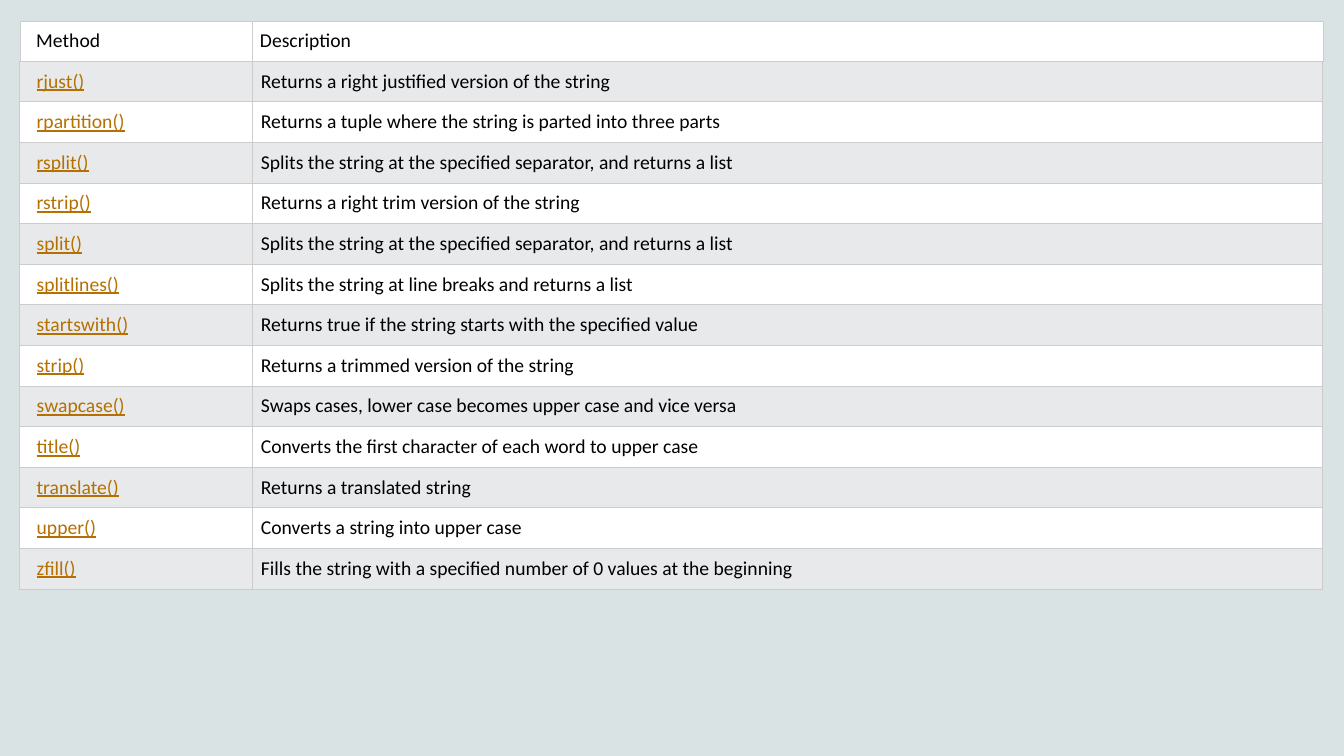
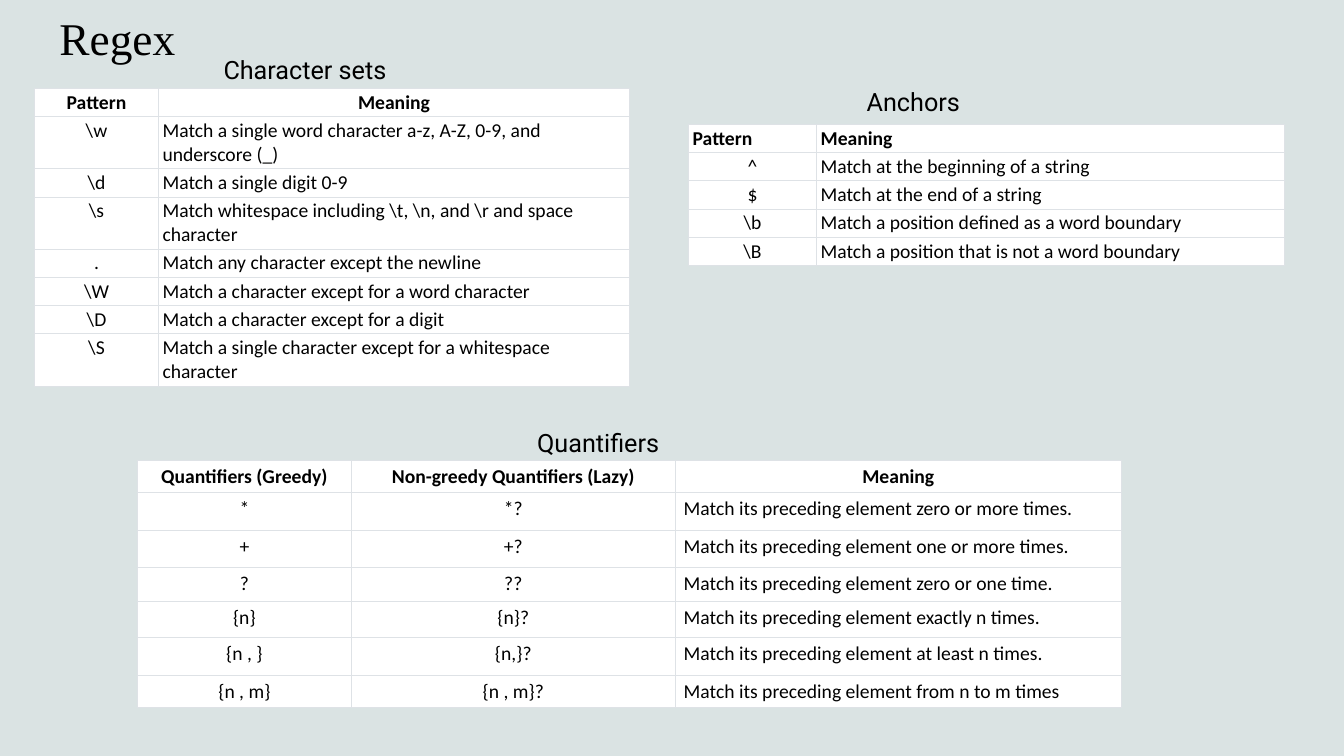
from lxml.etree import SubElement
from pptx import Presentation
from pptx.dml.color import RGBColor
from pptx.enum.text import MSO_ANCHOR, MSO_AUTO_SIZE, PP_ALIGN
from pptx.oxml.ns import qn
from pptx.util import Pt

BACKGROUND = RGBColor(0xDA, 0xE3, 0xE3)
BLACK = RGBColor(0x00, 0x00, 0x00)
WHITE = RGBColor(0xFF, 0xFF, 0xFF)
STRIPE = RGBColor(0xE7, 0xE9, 0xEB)
LINK = RGBColor(0xB5, 0x70, 0x01)
METHOD_BORDER = RGBColor(0xCC, 0xCC, 0xCC)
REGEX_BORDER = RGBColor(0xDE, 0xE2, 0xE6)
LEFT, CENTER = PP_ALIGN.LEFT, PP_ALIGN.CENTER


def set_font(paragraph, name, size, color=BLACK, bold=False):
    font = paragraph.font
    font.name, font.size, font.bold = name, Pt(size), bold
    font.color.rgb = color


def add_grid(page, left, top, widths, heights, rows, margins, border):
    """Add a white, left-aligned table; margins are (side, top and bottom)."""
    frame = page.shapes.add_table(len(rows), len(widths), Pt(left), Pt(top),
                                  Pt(sum(widths)), Pt(sum(heights)))
    table = frame.table
    table.first_row = table.horz_banding = False
    for column, width in zip(table.columns, widths):
        column.width = Pt(width)
    for row, height, texts in zip(table.rows, heights, rows):
        row.height = Pt(height)
        for cell, text in zip(row.cells, texts):
            cell.text = text
            cell.margin_left = cell.margin_right = Pt(margins[0])
            cell.margin_top = cell.margin_bottom = Pt(margins[1])
            set_font(cell.text_frame.paragraphs[0], "Calibri", 14)
            properties = cell._tc.get_or_add_tcPr()
            for side in ("a:lnL", "a:lnR", "a:lnT", "a:lnB"):
                line = SubElement(properties, qn(side), w=str(Pt(0.75)))
                fill = SubElement(line, qn("a:solidFill"))
                SubElement(fill, qn("a:srgbClr"), val=str(border))
            cell.fill.solid()
            cell.fill.fore_color.rgb = WHITE
    return table


deck = Presentation()
deck.slide_width, deck.slide_height = Pt(960), Pt(540)
master_fill = deck.slide_master.background.fill
master_fill.solid()
master_fill.fore_color.rgb = BACKGROUND

# String methods
page = deck.slides.add_slide(deck.slide_layouts[6])
methods = [
    ("rjust()", "Returns a right justified version of the string"),
    ("rpartition()", "Returns a tuple where the string is parted into three parts"),
    ("rsplit()", "Splits the string at the specified separator, and returns a list"),
    ("rstrip()", "Returns a right trim version of the string"),
    ("split()", "Splits the string at the specified separator, and returns a list"),
    ("splitlines()", "Splits the string at line breaks and returns a list"),
    ("startswith()", "Returns true if the string starts with the specified value"),
    ("strip()", "Returns a trimmed version of the string"),
    ("swapcase()", "Swaps cases, lower case becomes upper case and vice versa"),
    ("title()", "Converts the first character of each word to upper case"),
    ("translate()", "Returns a translated string"),
    ("upper()", "Converts a string into upper case"),
    ("zfill()", "Fills the string with a specified number of 0 values at the beginning"),
]
method_table = add_grid(page, 14.2, 43.8, (166.2, 764.1), [29] * len(methods),
                        methods, (6, 5.8), METHOD_BORDER)
for index, row in enumerate(method_table.rows):
    name_cell = row.cells[0]
    name_cell.margin_left = Pt(12)
    name_font = name_cell.text_frame.paragraphs[0].font
    name_font.color.rgb = LINK
    name_font.underline = True
    if index % 2 == 0:
        for cell in row.cells:
            cell.fill.fore_color.rgb = STRIPE

header_table = add_grid(page, 14.6, 15.2, (165.6, 765), [28.6],
                        [("Method", "Description")], (5.5, 5.7), METHOD_BORDER)
header_table.cell(0, 0).margin_left = Pt(11.3)

# Regex
page = deck.slides.add_slide(deck.slide_layouts[5])
title = page.shapes.title
title.left, title.top, title.width, title.height = Pt(42.5), Pt(7.5), Pt(874), Pt(42.5)
title.text = "Regex"
frame = title.text_frame
frame.auto_size = MSO_AUTO_SIZE.NONE
frame.vertical_anchor = MSO_ANCHOR.BOTTOM
frame.margin_left = 0
frame.paragraphs[0].alignment = LEFT
set_font(frame.paragraphs[0], "Times New Roman", 32.4)

character_sets = [
    ("Pattern", "Meaning"),
    (r"\w", "Match a single word character a-z, A-Z, 0-9, and underscore (_)"),
    (r"\d", "Match a single digit 0-9"),
    (r"\s", r"Match whitespace including \t, \n, and \r and space character"),
    (".", "Match any character except the newline"),
    (r"\W", "Match a character except for a word character"),
    (r"\D", "Match a character except for a digit"),
    (r"\S", "Match a single character except for a whitespace character"),
]
anchors = [
    ("Pattern", "Meaning"),
    ("^", "Match at the beginning of a string"),
    ("$", "Match at the end of a string"),
    (r"\b", "Match a position defined as a word boundary"),
    (r"\B", "Match a position that is not a word boundary"),
]
quantifiers = [
    ("Quantifiers (Greedy)", "Non-greedy Quantifiers (Lazy)", "Meaning"),
    ("*", "*?", "Match its preceding element zero or more times."),
    ("+", "+?", "Match its preceding element one or more times."),
    ("?", "??", "Match its preceding element zero or one time."),
    ("{n}", "{n}?", "Match its preceding element exactly n times."),
    ("{n , }", "{n,}?", "Match its preceding element at least n times."),
    ("{n , m}", "{n , m}?", "Match its preceding element from n to m times"),
]
ONE_LINE, TWO_LINES = 20.2, 37.2
set_heights = [ONE_LINE, TWO_LINES, ONE_LINE, TWO_LINES,
               ONE_LINE, ONE_LINE, ONE_LINE, TWO_LINES]
quantifier_heights = [23, 27, 26.5, 24.3, 25.7, 27, 23.3]

# left, top, widths, heights, rows, margins, header alignment
regex_grids = [
    (24.8, 63.2, (88.3, 336.7), set_heights, character_sets, (3, 1.5), CENTER),
    (491.8, 88.8, (91.4, 334), [ONE_LINE] * 5, anchors, (3, 1.5), LEFT),
    (98.2, 329, (152.8, 231.4, 318.6), quantifier_heights, quantifiers, (6, 2.9), CENTER),
]
for *layout, header_alignment in regex_grids:
    table = add_grid(page, *layout, REGEX_BORDER)
    for row_index, row in enumerate(table.rows):
        *pattern_cells, meaning_cell = row.cells
        for cell in pattern_cells:
            cell.text_frame.paragraphs[0].alignment = CENTER
        if row_index == 0:
            for cell in row.cells:
                heading = cell.text_frame.paragraphs[0]
                heading.alignment = header_alignment
                heading.font.bold = True

captions = [("Character sets", 152.6, 35.3), ("Anchors", 612, 58.3),
            ("Quantifiers", 376.6, 301.7)]
for caption, left, top in captions:
    box = page.shapes.add_textbox(Pt(left), Pt(top), Pt(147), Pt(29))
    box.text_frame.word_wrap = True
    box.text_frame.text = caption
    set_font(box.text_frame.paragraphs[0], "Roboto", 18)

deck.save("out.pptx")
